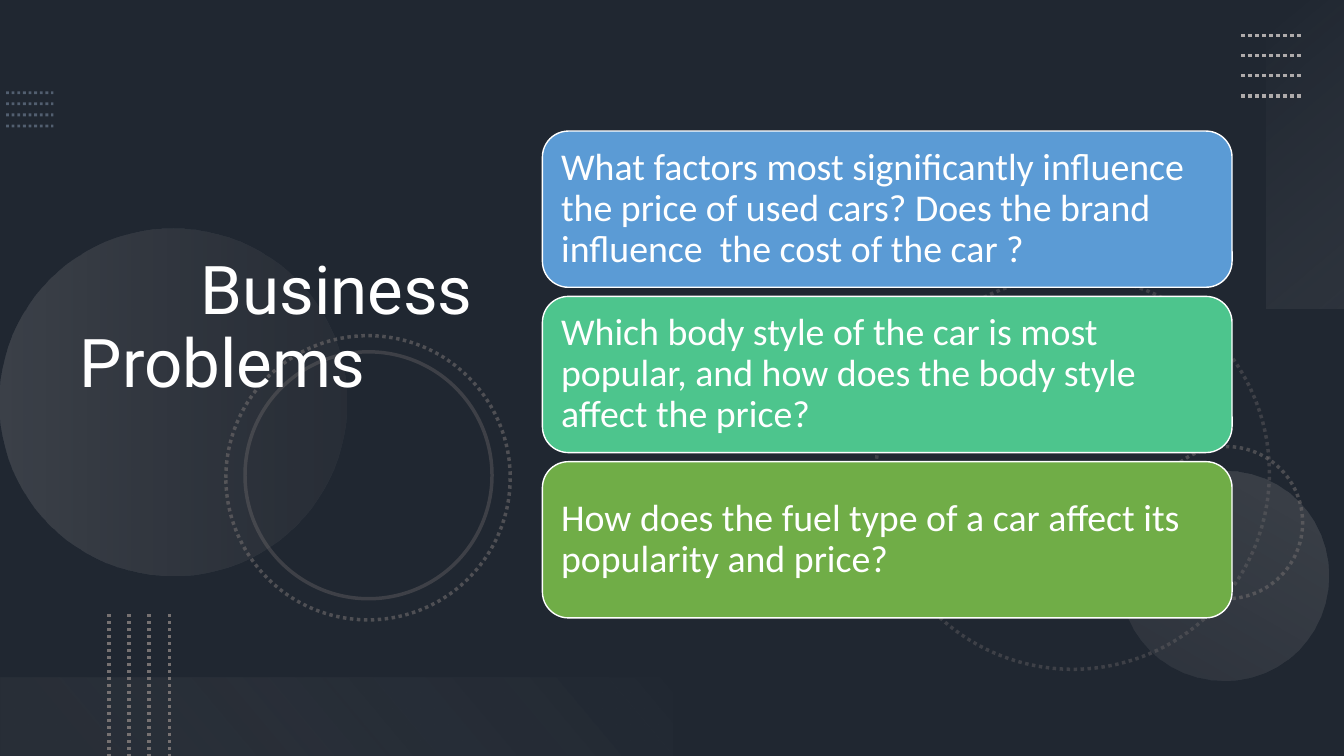
"""Build the Business Problems slide with its dotted backdrop and question cards."""
from lxml import etree
from pptx import Presentation
from pptx.dml.color import RGBColor
from pptx.enum.dml import MSO_LINE
from pptx.enum.shapes import MSO_CONNECTOR, MSO_SHAPE
from pptx.enum.text import MSO_ANCHOR, PP_ALIGN
from pptx.oxml.ns import qn
from pptx.util import Inches, Pt

STRAIGHT = MSO_CONNECTOR.STRAIGHT
RECTANGLE, OVAL, ROUNDED = MSO_SHAPE.RECTANGLE, MSO_SHAPE.OVAL, MSO_SHAPE.ROUNDED_RECTANGLE
DOTTED, SOLID = MSO_LINE.ROUND_DOT, MSO_LINE.SOLID
MIDDLE, LEFT = MSO_ANCHOR.MIDDLE, PP_ALIGN.LEFT

WIDTH, HEIGHT = 13.33, 7.5
WHITE = "FFFFFF"
TITLE = "Business Problems"
QUESTIONS = [
    ("What factors most significantly influence the price of used cars? "
     "Does the brand influence  the cost of the car ?", "5B9BD5"),
    ("Which body style of the car is most popular, and how does the body style "
     "affect the price?", "4DC58D"),
    ("How does the fuel type of a car affect its popularity and price?", "70AD47"),
]
CARD = {"left": 5.38, "top": 1.3, "width": 6.84, "height": 1.55, "pitch": 1.64}

# Each dotted set: first start, first end, step, colour, line width, opacity
DOTTED_SETS = [
    ((0.06, 0.92), (0.53, 0.92), (0, 0.11), "8497B0", 2, 50),
    ((12.31, 0.35), (12.91, 0.35), (0, 0.2), "AFABAB", 2.5, 100),
    ((1.08, 6.09), (1.08, 7.5), (0.2, 0), "767171", 2.5, 100),
]
LINES_PER_SET = 4

# Each ring: left, top, diameter, dash, opacity
RINGS = [
    (8.69, 2.74, 3.9, DOTTED, 35),
    (11.41, 4.43, 1.51, DOTTED, 50),
    (2.24, 3.33, 2.82, DOTTED, 55),
    (2.43, 3.49, 2.45, SOLID, 35),
]

# Each glow: shape, left, top, width, height, rotation, angle, stops
GLOWS = [
    (OVAL, 0, 2.27, 3.44, 3.44, 270, 90, [(0, "AFABAB", 20), (100, "767171", 10)]),
    (OVAL, 11.1, 4.67, 2.08, 2.08, 210, 90, [(0, "AFABAB", 10), (100, "AFABAB", 20)]),
    (RECTANGLE, 11.42, 1.14, 3.06, 0.78, 270, 140, [(0, "F5F5F5", 0), (100, "AFABAB", 10)]),
    (RECTANGLE, 0, 6.72, 6.67, 0.78, 180, 140, [(10, "767171", 10), (100, "F1F0F0", 0)]),
]


def paint(color_format, color):
    color_format.rgb = RGBColor.from_string(color)


def set_opacity(element, percent):
    color = next(element.iter(qn("a:srgbClr")))
    etree.SubElement(color, qn("a:alpha"), val=str(percent * 1000))


def style_line(line, color, width, dash=SOLID, opacity=100):
    paint(line.color, color)
    line.width = Pt(width)
    line.dash_style = dash
    if opacity < 100:
        set_opacity(line.fill._xPr, opacity)


def add_shape(slide, kind, left, top, width, height, fill=None):
    shape = slide.shapes.add_shape(kind, *map(Inches, (left, top, width, height)))
    shape.shadow.inherit = False
    shape.line.fill.background()
    if fill:
        shape.fill.solid()
        paint(shape.fill.fore_color, fill)
    else:
        shape.fill.background()
    return shape


def fill_gradient(shape, angle, stops):
    properties = shape._element.spPr
    gradient = etree.Element(qn("a:gradFill"), rotWithShape="1")
    stop_list = etree.SubElement(gradient, qn("a:gsLst"))
    for position, color, opacity in stops:
        stop = etree.SubElement(stop_list, qn("a:gs"), pos=str(position * 1000))
        etree.SubElement(stop, qn("a:srgbClr"), val=color)
        set_opacity(stop, opacity)
    etree.SubElement(gradient, qn("a:lin"), ang=str(angle * 60000), scaled="0")
    properties.replace(properties.find(qn("a:noFill")), gradient)


def write_text(shape, text, font_name, size, insets):
    frame = shape.text_frame
    frame.text = text
    settings = {"word_wrap": True, "vertical_anchor": MIDDLE, **insets}
    for name, value in settings.items():
        setattr(frame, name, value)
    paragraph = frame.paragraphs[0]
    paragraph.alignment = LEFT
    paragraph.line_spacing = 0.9
    font = paragraph.runs[0].font
    font.name, font.size = font_name, Pt(size)
    paint(font.color, WHITE)
    return paragraph


def add_backdrop(slide):
    slide.background.fill.solid()
    paint(slide.background.fill.fore_color, "44546A")
    shade = add_shape(slide, RECTANGLE, 0, 0, WIDTH, HEIGHT, "000000")
    set_opacity(shape_properties := shade._element.spPr, 53)
    for *place, rotation, angle, stops in GLOWS:
        glow = add_shape(slide, *place)
        glow.rotation = rotation
        fill_gradient(glow, angle, stops)
    for left, top, diameter, dash, opacity in RINGS:
        ring = add_shape(slide, OVAL, left, top, diameter, diameter)
        style_line(ring.line, "767171", 2.5, dash, opacity)
    for start, end, step, color, width, opacity in DOTTED_SETS:
        for index in range(LINES_PER_SET):
            points = [Inches(point[axis] + index * step[axis])
                      for point in (start, end) for axis in (0, 1)]
            connector = slide.shapes.add_connector(STRAIGHT, *points)
            style_line(connector.line, color, width, DOTTED, opacity)
            etree.SubElement(connector._element.spPr, qn("a:effectLst"))


def add_title(slide):
    title = slide.shapes.title
    place = {"left": 0.69, "top": 0.54, "width": 4.59, "height": 6.17}
    for name, value in place.items():
        setattr(title, name, Inches(value))
    paragraph = write_text(title, TITLE, "Roboto", 48, {"margin_bottom": Inches(0.77)})
    properties = paragraph._p.get_or_add_pPr()
    properties.set("marL", "0")
    properties.set("indent", str(Inches(1.2)))
    slide.shapes._spTree.append(title._element)


def add_cards(slide):
    sides = ("left", "top", "right", "bottom")
    insets = {f"margin_{side}": Inches(0.11) for side in sides}
    for index, (question, color) in enumerate(QUESTIONS):
        top = CARD["top"] + index * CARD["pitch"]
        card = add_shape(slide, ROUNDED, CARD["left"], top, CARD["width"], CARD["height"], color)
        style_line(card.line, WHITE, 1)
        write_text(card, question, "Calibri", 27, insets)


def main():
    presentation = Presentation()
    presentation.slide_width, presentation.slide_height = Inches(WIDTH), Inches(HEIGHT)
    slide = presentation.slides.add_slide(presentation.slide_layouts[5])
    add_backdrop(slide)
    add_title(slide)
    add_cards(slide)
    presentation.save("out.pptx")


if __name__ == "__main__":
    main()
